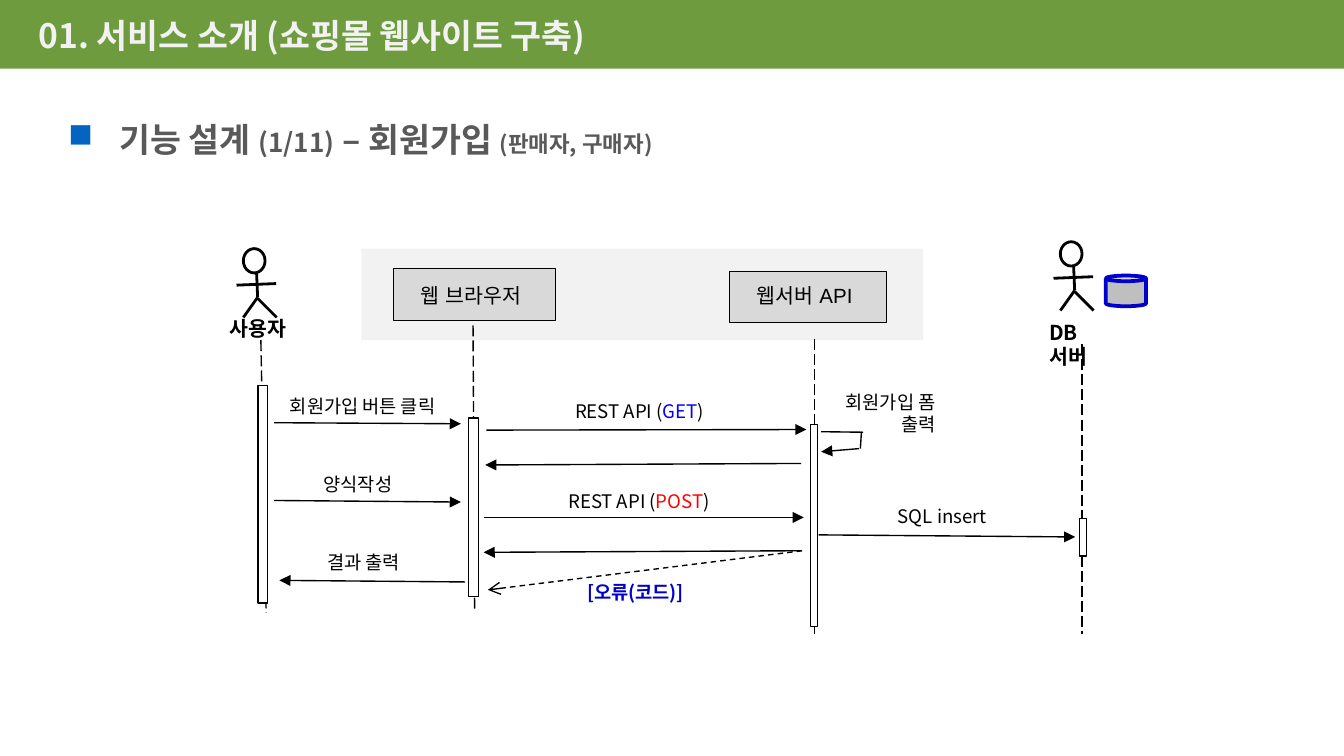
import pptx
import pptx.dml.color
import pptx.enum.dml
import pptx.enum.shapes
import pptx.enum.text
import pptx.oxml
import pptx.oxml.ns
import pptx.util

Cm = pptx.util.Cm
Pt = pptx.util.Pt
SHAPES = pptx.enum.shapes.MSO_SHAPE
DASHES = pptx.enum.dml.MSO_LINE
ALIGN = pptx.enum.text.PP_ALIGN
ANCHOR = pptx.enum.text.MSO_ANCHOR
FIT = pptx.enum.text.MSO_AUTO_SIZE

NOTO = "Noto Sans CJK KR"
COLORS = {
    "green": "6D9B3E", "pale": "F2F2F2", "box": "D9D9D9", "can": "BFBFBF",
    "white": "FFFFFF", "black": "000000", "heading": "595959",
    "bullet": "0365C0", "navy": "0000CC", "get": "0000FF", "post": "FF0000",
}


def rgb(name):
    return pptx.dml.color.RGBColor.from_string(COLORS[name])


def append_xml(parent, tag, **attributes):
    child = pptx.oxml.parse_xml(f"<a:{tag} {pptx.oxml.ns.nsdecls('a')}/>")
    for key, value in attributes.items():
        child.set(key, value)
    parent.append(child)
    return child


def write(paragraph, text, size=10, color="black", bold=False, font=NOTO):
    run = paragraph.add_run()
    run.text = text
    run.font.size = Pt(size)
    run.font.bold = bold
    run.font.color.rgb = rgb(color)
    run.font.name = font
    append_xml(run.font._element, "ea", typeface=font)


class SequenceSlide:
    def __init__(self, slide):
        self.slide = slide
        self.shapes = slide.shapes

    def shape(self, kind, left, top, width, height, fill, line=None, weight=0.75):
        shape = self.shapes.add_shape(kind, Cm(left), Cm(top), Cm(width), Cm(height))
        shape.shadow.inherit = False
        shape.fill.solid()
        shape.fill.fore_color.rgb = rgb(fill)
        if line:
            shape.line.color.rgb = rgb(line)
            shape.line.width = Pt(weight)
        else:
            shape.line.fill.background()
        return shape

    def line(self, x1, y1, x2, y2, weight=0.75, dash=None, arrow=None):
        line = self.shapes.add_connector(
            pptx.enum.shapes.MSO_CONNECTOR.STRAIGHT, Cm(x1), Cm(y1), Cm(x2), Cm(y2))
        line.line.color.rgb = rgb("black")
        line.line.width = Pt(weight)
        if dash:
            line.line.dash_style = dash
        if arrow:
            append_xml(line.line._get_or_add_ln(), "tailEnd", type=arrow)
        append_xml(line._element.spPr, "effectLst")

    def text(self, left, top, width, height, *lines, wrap=False, fill=None,
             align=ALIGN.LEFT, **style):
        box = self.shapes.add_textbox(Cm(left), Cm(top), Cm(width), Cm(height))
        if fill:
            box.fill.solid()
            box.fill.fore_color.rgb = rgb(fill)
        frame = box.text_frame
        frame.word_wrap = wrap
        frame.auto_size = FIT.SHAPE_TO_FIT_TEXT
        for index, content in enumerate(lines):
            paragraph = frame.paragraphs[0] if index == 0 else frame.add_paragraph()
            paragraph.alignment = align
            runs = [(content, {})] if isinstance(content, str) else content
            for words, extra in runs:
                write(paragraph, words, **{**style, **extra})

    def title(self, words):
        title = self.shapes.title
        title.left, title.top, title.width, title.height = (
            Cm(0.58), Cm(0.33), Cm(13.67), Cm(0.79))
        frame = title.text_frame
        frame.margin_left = frame.margin_right = Cm(0.15)
        frame.margin_top = frame.margin_bottom = Cm(0.15)
        frame.vertical_anchor = ANCHOR.MIDDLE
        frame.word_wrap = True
        paragraph = frame.paragraphs[0]
        paragraph.alignment = ALIGN.LEFT
        paragraph.line_spacing = 0.8
        write(paragraph, words, size=18, color="pale", bold=True)

    def heading(self, parts):
        box = self.shapes.add_textbox(Cm(1.04), Cm(1.83), Cm(14.94), Cm(1.22))
        frame = box.text_frame
        frame.word_wrap = True
        frame.vertical_anchor = ANCHOR.MIDDLE
        paragraph = frame.paragraphs[0]
        paragraph.line_spacing = 1.5
        properties = paragraph._p.get_or_add_pPr()
        properties.set("marL", str(Cm(0.97)))
        properties.set("indent", str(-Cm(0.97)))
        append_xml(append_xml(properties, "buClr"), "srgbClr", val=COLORS["bullet"])
        append_xml(properties, "buChar", char="■")
        for words, size in parts:
            write(paragraph, words, size=size, color="heading", bold=True)

    def actor(self, x, y):
        self.shape(SHAPES.OVAL, x, y, 0.41, 0.46, "white", "black", 1.5)
        limbs = [(-0.13, 0.69, 0.62, 0.66), (0.25, 0.46, 0.27, 0.92),
                 (0, 1.3, 0.27, 0.92), (0.27, 0.94, 0.63, 1.3)]
        for x1, y1, x2, y2 in limbs:
            self.line(x + x1, y + y1, x + x2, y + y2, weight=1.5)

    def participant(self, left, top, width, name, name_left):
        self.shape(SHAPES.RECTANGLE, left, top, width, 0.97, "box", "black", 0.25)
        self.text(name_left, 5.23, 2.5, 0.74, name, size=11, font="Arial")


def main():
    deck = pptx.Presentation()
    deck.slide_width, deck.slide_height = Cm(25.4), Cm(14.29)
    page = SequenceSlide(deck.slides.add_slide(deck.slide_layouts[5]))

    band = page.shape(SHAPES.RECTANGLE, 0, 0, 25.4, 1.3, "green")
    page.shapes.title._element.addprevious(band._element)
    page.title("01. 서비스 소개 (쇼핑몰 웹사이트 구축)")
    page.heading([("기능 설계 ", 18), ("(1/11)", 14), (" – 회원가입 ", 18),
                  ("(판매자, 구매자)", 12)])

    page.shape(SHAPES.RECTANGLE, 6.83, 4.7, 10.62, 1.73, "pale")
    page.participant(7.44, 5.08, 3.05, "웹 브라우저", 7.7)
    page.participant(13.79, 5.13, 2.97, "웹서버 API", 14.05)

    page.actor(4.6, 4.7)
    page.text(4.09, 5.84, 1.68, 0.74, "사용자", size=11, bold=True)
    page.actor(20.04, 4.57)
    page.text(19.58, 5.92, 1.5, 0.74, "DB서버", size=11, bold=True, wrap=True)
    database = page.shape(SHAPES.CAN, 20.9, 5.21, 0.76, 0.58, "can", "navy", 2)
    database.adjustments[0] = 0.185

    lifelines = [(4.93, 6.43, 5.03, 11.58), (8.94, 6.15, 8.97, 11.58),
                 (15.39, 6.4, 15.39, 11.99), (20.45, 6.5, 20.45, 11.99)]
    for lifeline in lifelines:
        page.line(*lifeline, dash=DASHES.LONG_DASH)
    activations = [(4.88, 7.29, 0.18, 4.11), (8.86, 7.9, 0.18, 3.38),
                   (15.32, 8.03, 0.13, 3.81), (20.4, 9.8, 0.13, 0.71)]
    for activation in activations:
        page.shape(SHAPES.RECTANGLE, *activation, "white", "black")

    page.text(5.23, 7.34, 3.61, 0.69, "회원가입 버튼 클릭")
    page.text(5.87, 8.81, 1.93, 0.69, "양식작성")
    page.text(5.94, 10.29, 2.06, 0.69, "결과 출력")
    page.text(16.72, 9.42, 2.2, 0.69, "SQL insert")
    page.text(15.52, 7.26, 2.41, 1.12, "회원가입 폼", "출력", align=ALIGN.RIGHT)
    page.text(10.85, 10.85, 2.57, 0.69, "[오류(코드)]", color="navy", bold=True,
              fill="white", wrap=True)
    requests = [("GET", "get", 10.62, 7.44, 4.27), ("POST", "post", 10.49, 9.14, 4.7)]
    for method, color, left, top, width in requests:
        page.text(left, top, width, 0.69,
                  [("REST API (", {}), (method, {"color": color}), (")", {})], wrap=True)

    messages = [
        (5.18, 7.99, 8.71, 8.01), (9.19, 8.13, 15.24, 8.12),
        (15.14, 8.76, 9.17, 8.79), (5.18, 9.46, 8.71, 9.49),
        (9.14, 9.78, 15.19, 9.78), (15.14, 10.41, 9.14, 10.44),
        (8.79, 11, 5.28, 10.97), (15.47, 10.11, 20.32, 10.15),
        (16.23, 8.48, 15.52, 8.54),
    ]
    for message in messages:
        page.line(*message, arrow="triangle")
    page.line(15.52, 8.16, 16.31, 8.17)
    page.line(16.28, 8.16, 16.26, 8.48)
    page.line(15.16, 10.41, 9.22, 11.15, dash=DASHES.DASH, arrow="arrow")

    deck.save("out.pptx")


if __name__ == "__main__":
    main()
